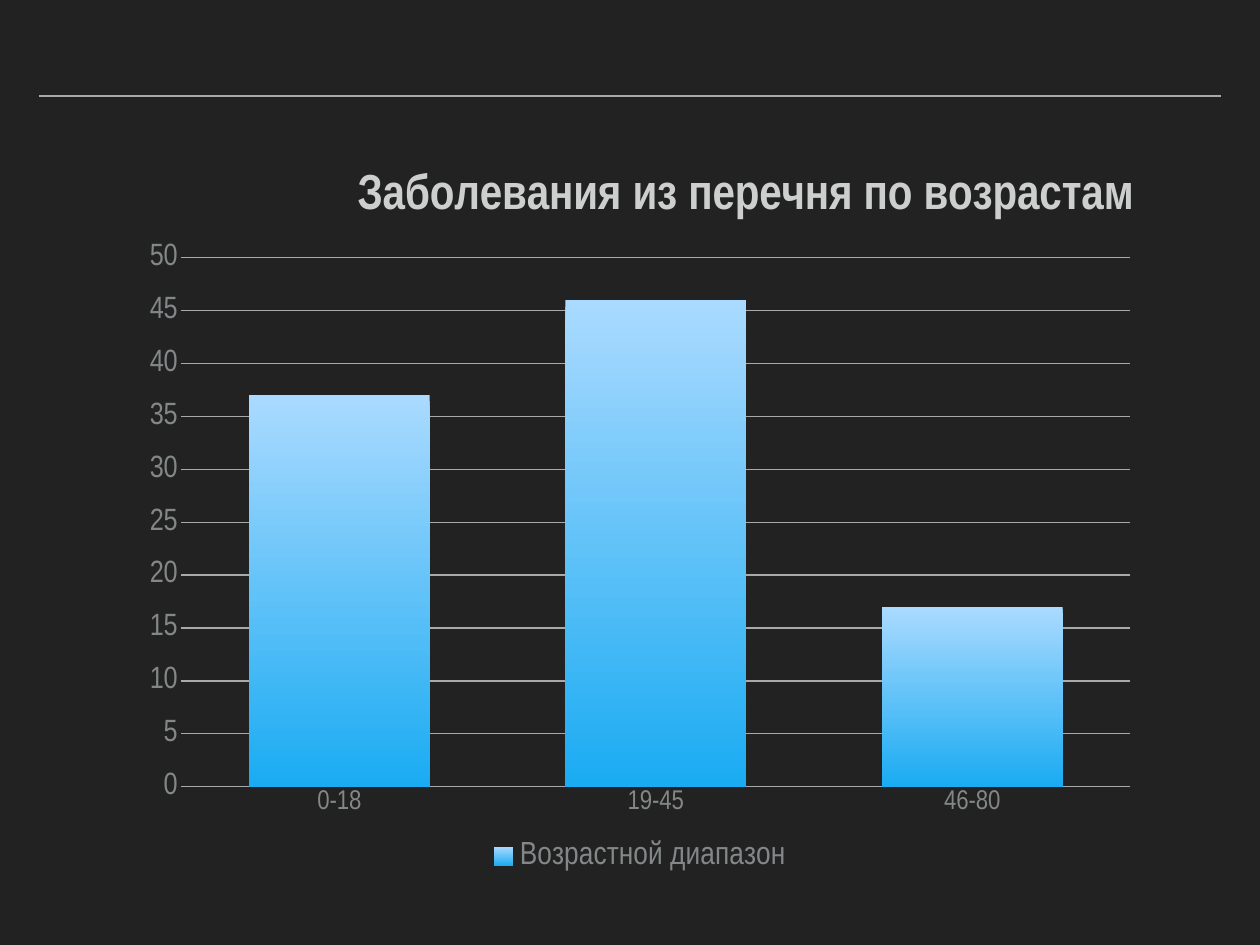
from lxml.etree import SubElement
from pptx import Presentation
from pptx.chart.data import CategoryChartData
from pptx.dml.color import RGBColor
from pptx.enum.chart import XL_CHART_TYPE, XL_LEGEND_POSITION, XL_TICK_MARK
from pptx.enum.shapes import MSO_CONNECTOR
from pptx.oxml import parse_xml
from pptx.oxml.ns import nsdecls, qn
from pptx.util import Pt

PX = 10320
FONT = "Arial Narrow"
BACKGROUND = RGBColor(0x22, 0x22, 0x22)
RULE = RGBColor(0xA6, 0xAA, 0xA9)
LABEL = RGBColor(0x83, 0x87, 0x87)
TITLE = RGBColor(0xCD, 0xCF, 0xCF)
BAR_TOP = RGBColor(0xAA, 0xDA, 0xFF)
BAR_BOTTOM = RGBColor(0x1A, 0xAB, 0xF2)


class SlideBuilder:
    """Draws styled elements on one slide, with lengths in px."""

    def __init__(self, prs):
        self.slide = prs.slides.add_slide(prs.slide_layouts[6])
        fill = self.slide.background.fill
        fill.solid()
        fill.fore_color.rgb = BACKGROUND

    def font(self, font, size, color=LABEL, bold=False):
        font.name = FONT
        font.size = Pt(size)
        font.bold = bold
        font.color.rgb = color

    def line(self, x1, y1, x2, y2):
        sp = self.slide.shapes.add_connector(
            MSO_CONNECTOR.STRAIGHT, x1 * PX, y1 * PX, x2 * PX, y2 * PX)
        sp.line.color.rgb = RULE
        sp.line.width = Pt(2)
        SubElement(sp._element.spPr, qn("a:effectLst"))

    def place(self, element, index, target="", **fractions):
        for old in element.findall(qn("c:layout")):
            element.remove(old)
        layout = parse_xml(f"<c:layout {nsdecls('c')}/>")
        manual = SubElement(layout, qn("c:manualLayout"))
        if target:
            SubElement(manual, qn("c:layoutTarget")).set("val", target)
        for side in ("x", "y"):
            SubElement(manual, qn(f"c:{side}Mode")).set("val", "edge")
        for name, value in fractions.items():
            SubElement(manual, qn(f"c:{name}")).set("val", str(value))
        element.insert(index, layout)

    def column_chart(self, x, y, w, h, title, series, categories, values):
        data = CategoryChartData()
        data.categories = categories
        data.add_series(series, values)
        chart = self.slide.shapes.add_chart(
            XL_CHART_TYPE.COLUMN_CLUSTERED,
            x * PX, y * PX, w * PX, h * PX, data).chart
        self.font(chart.font, 10)
        self.title(chart, title)
        self.axes(chart)
        self.columns(chart.plots[0])
        self.legend(chart)
        self.place(chart._chartSpace.chart.plotArea, 0, "inner",
                   x=0.051, y=0.142, w=0.929, h=0.732)

    def title(self, chart, text):
        chart.has_title = True
        tf = chart.chart_title.text_frame
        tf.text = text
        self.font(tf.paragraphs[0].runs[0].font, 40, TITLE, True)
        self.place(chart.chart_title._element, 1, x=0.215, y=0.005)

    def axes(self, chart):
        for axis, size in ((chart.category_axis, 22), (chart.value_axis, 25)):
            axis.major_tick_mark = axis.minor_tick_mark = XL_TICK_MARK.NONE
            self.font(axis.tick_labels.font, size)
        chart.category_axis.format.line.color.rgb = RULE
        value_axis = chart.value_axis
        value_axis.format.line.fill.background()
        value_axis.minimum_scale = 0
        value_axis.maximum_scale = 50
        value_axis.major_unit = 5
        value_axis.has_major_gridlines = True
        grid = value_axis.major_gridlines.format.line
        grid.color.rgb = RULE
        grid.width = Pt(1)

    def columns(self, plot):
        plot.gap_width = 75
        plot.overlap = -25
        plot.vary_by_categories = False
        fill = plot.series[0].format.fill
        fill.gradient()
        fill.gradient_angle = 270
        for stop, color in zip(fill.gradient_stops, (BAR_TOP, BAR_BOTTOM)):
            stop.color.rgb = color

    def legend(self, chart):
        chart.has_legend = True
        legend = chart.legend
        legend.position = XL_LEGEND_POSITION.BOTTOM
        legend.include_in_layout = False
        self.font(legend.font, 26)
        self.place(legend._element, 1, x=0.35, y=0.94, w=0.3, h=0.06)


def main():
    prs = Presentation()
    prs.slide_width = 1260 * PX
    prs.slide_height = 945 * PX
    s = SlideBuilder(prs)
    s.line(39, 96, 1221, 96)
    s.column_chart(129, 155, 1022, 723, "Заболевания из перечня по возрастам",
                   "Возрастной диапазон", ("0-18", "19-45", "46-80"), (37, 46, 17))
    prs.save("out.pptx")


if __name__ == "__main__":
    main()
